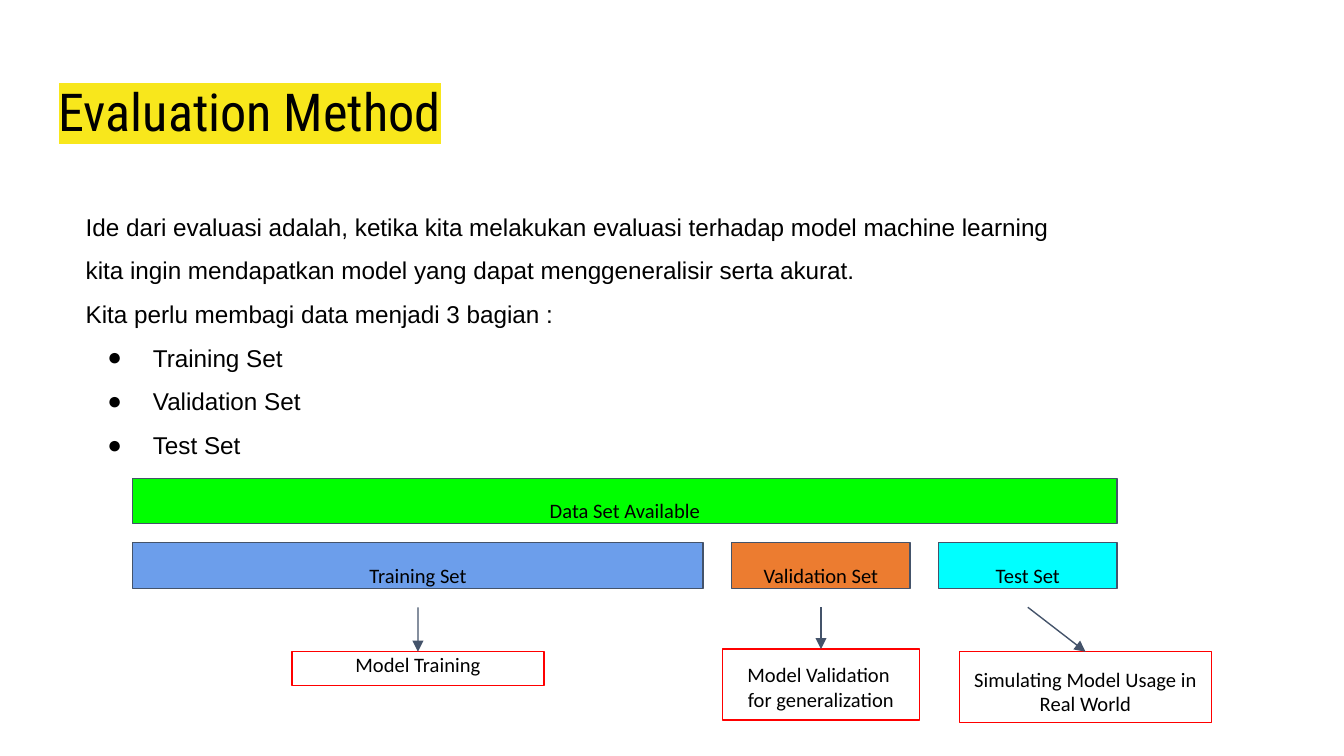
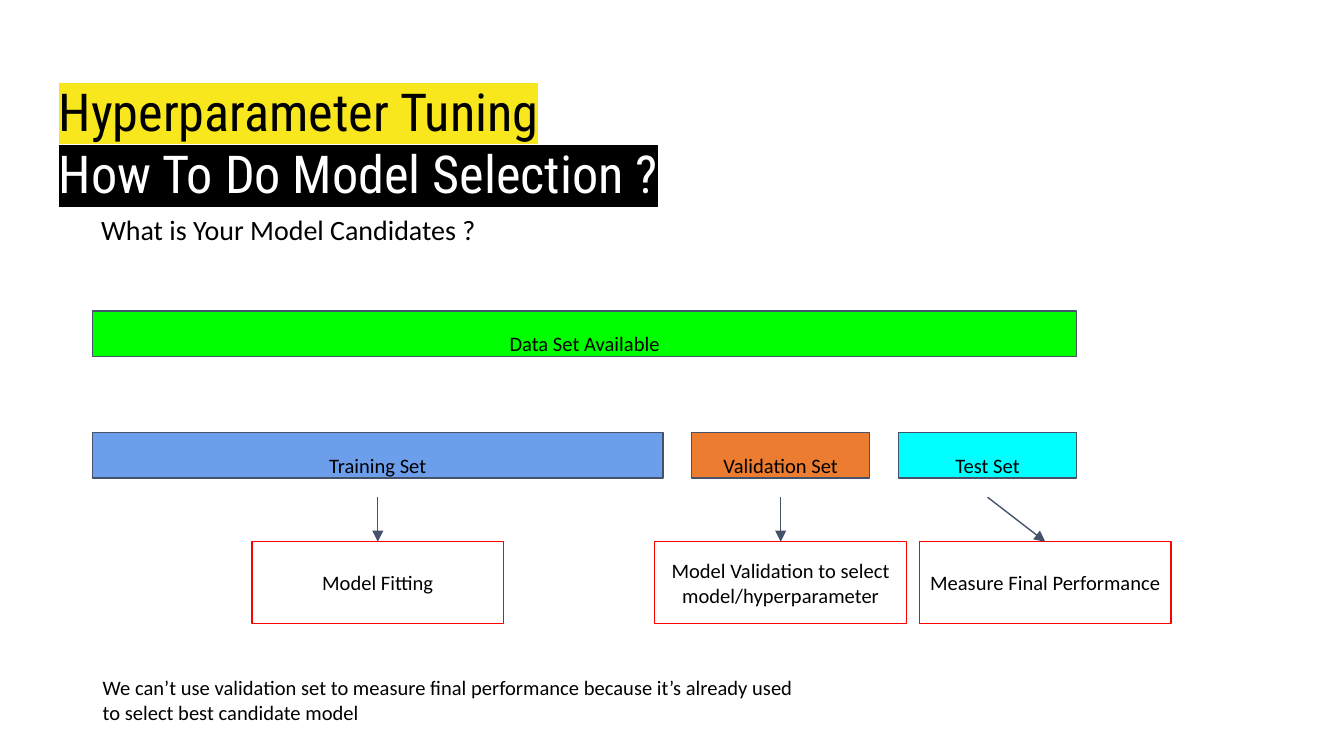
from dataclasses import dataclass

from lxml.etree import SubElement
from pptx import Presentation
from pptx.dml.color import RGBColor
from pptx.enum.shapes import MSO_CONNECTOR as Connector, MSO_SHAPE as Preset
from pptx.enum.text import MSO_ANCHOR as Anchor, MSO_AUTO_SIZE as AutoSize, PP_ALIGN as Align
from pptx.oxml.ns import qn
from pptx.shapes.autoshape import Shape
from pptx.slide import Slide
from pptx.text.text import TextFrame, _Paragraph as Paragraph
from pptx.util import Cm, Pt

COLORS = {
    "text": "000000", "reversed": "FFFFFF", "marker": "F8E71C", "edge": "44536A",
    "outcome": "FF0000", "available": "00FF00", "training": "6C9EEB",
    "validation": "EC7C30", "test": "00FFFF",
}
TITLE_FONT, BODY_FONT, DIAGRAM_FONT = "Roboto Condensed", "Arial", "Calibri"

# Measures of the data split, in centimetres
BAR_HEIGHT, BAR_GAP, BAR_INSET = 0.86, 0.54, 0.38
ARROW_GAP = 0.36


@dataclass(frozen=True)
class Subset:
    label: str
    color: str
    width: float
    outcome_shift: float = 0


@dataclass(frozen=True)
class Outcome:
    lines: tuple[str, ...]
    top: float
    width: float
    height: float
    inset: float = 0
    anchor: Anchor = Anchor.TOP


@dataclass(frozen=True)
class TitleLine:
    text: str
    color: str
    highlight: str


SUBSETS = (
    Subset("Training Set", "training", 10.78),
    Subset("Validation Set", "validation", 3.37),
    Subset("Test Set", "test", 3.37, outcome_shift=1.09),
)
TOTAL_WIDTH = sum(s.width for s in SUBSETS) + BAR_GAP * (len(SUBSETS) - 1)


def rgb(color: str) -> RGBColor:
    return RGBColor.from_string(COLORS[color])


# Text
def write(paragraph: Paragraph, text: str, font: str, size: float,
          color: str = "text", highlight: str | None = None) -> None:
    """Add runs to a paragraph; a newline becomes a line break."""
    for index, part in enumerate(text.split("\n")):
        if index:
            paragraph.add_line_break()
        run = paragraph.add_run()
        run.text = part
        run.font.size = Pt(size)
        run.font.color.rgb = rgb(color)
        run.font.name = font
        if highlight:
            properties = run._r.get_or_add_rPr()
            mark = SubElement(properties, qn("a:highlight"))
            SubElement(mark, qn("a:srgbClr"), val=COLORS[highlight])
            properties.find(qn("a:solidFill")).addnext(mark)


def next_paragraph(frame: TextFrame, index: int) -> Paragraph:
    return frame.add_paragraph() if index else frame.paragraphs[0]


def set_frame(frame: TextFrame, inset: float, top: float, anchor: Anchor = Anchor.TOP) -> None:
    frame.word_wrap = True
    frame.auto_size = AutoSize.NONE
    frame.vertical_anchor = anchor
    frame.margin_left = frame.margin_right = frame.margin_bottom = Cm(inset)
    frame.margin_top = Cm(top)


def place(shape: Shape, left: float, top: float, width: float, height: float) -> None:
    shape.left, shape.top = Cm(left), Cm(top)
    shape.width, shape.height = Cm(width), Cm(height)


def set_title(slide: Slide, lines: tuple[TitleLine, ...], height: float) -> None:
    title = slide.shapes.title
    place(title, 0.86, 1.24, 23.67, height)
    set_frame(title.text_frame, 0.25, 0.25)
    for index, line in enumerate(lines):
        paragraph = next_paragraph(title.text_frame, index)
        paragraph.alignment = Align.LEFT
        write(paragraph, line.text, TITLE_FONT, 28, line.color, line.highlight)


def set_body(slide: Slide, intro: tuple[str, ...], bullets: tuple[str, ...]) -> None:
    body = slide.placeholders[1]
    place(body, 1.37, 3.48, 18.8, 5.23)
    set_frame(body.text_frame, 0.25, 0.25)
    for index, text in enumerate(intro + bullets):
        paragraph = next_paragraph(body.text_frame, index)
        properties = paragraph._p.get_or_add_pPr()
        if index < len(intro):
            properties.set("marL", "0")
            properties.set("indent", "0")
            SubElement(properties, qn("a:buNone"))
        else:
            properties.set("marL", str(Cm(1.27)))
            properties.set("indent", str(Cm(-0.86)))
            bullet_color = SubElement(properties, qn("a:buClr"))
            SubElement(bullet_color, qn("a:srgbClr"), val=COLORS["text"])
            SubElement(properties, qn("a:buFont"), typeface=BODY_FONT)
            SubElement(properties, qn("a:buChar"), char="●")
        paragraph.line_spacing = 1.5
        paragraph.space_before = Pt(0)
        write(paragraph, text, BODY_FONT, 13)


def add_remark(slide: Slide, text: str, left: float, top: float,
               width: float, height: float, size: float) -> None:
    remark = slide.shapes.add_textbox(Cm(left), Cm(top), Cm(width), Cm(height))
    set_frame(remark.text_frame, 0.03, 0.03)
    write(remark.text_frame.paragraphs[0], text, DIAGRAM_FONT, size)


# Data split diagram
def add_box(slide: Slide, lines: tuple[str, ...], left: float, top: float,
            width: float, height: float, inset: float, edge: str,
            fill: str | None = None, anchor: Anchor = Anchor.TOP) -> Shape:
    box = slide.shapes.add_shape(Preset.RECTANGLE, Cm(left), Cm(top), Cm(width), Cm(height))
    box.shadow.inherit = False
    if fill:
        box.fill.solid()
        box.fill.fore_color.rgb = rgb(fill)
    else:
        box.fill.background()
    box.line.color.rgb = rgb(edge)
    box.line.width = Pt(0.75)
    set_frame(box.text_frame, 0, inset, anchor)
    for index, line in enumerate(lines):
        paragraph = next_paragraph(box.text_frame, index)
        paragraph.alignment = Align.CENTER
        write(paragraph, line, DIAGRAM_FONT, 11)
    return box


def add_bar(slide: Slide, label: str, left: float, top: float, width: float, fill: str) -> None:
    add_box(slide, (label,), left, top, width, BAR_HEIGHT, BAR_INSET, "edge", fill)


def add_arrow(slide: Slide, x: float, y: float, target: Shape) -> None:
    arrow = slide.shapes.add_connector(Connector.STRAIGHT, Cm(x), Cm(y), Cm(x), Cm(y))
    arrow.end_connect(target, 0)
    arrow.line.color.rgb = rgb("edge")
    arrow.line.width = Pt(0.75)
    SubElement(arrow.line._get_or_add_ln(), qn("a:tailEnd"), type="triangle")
    SubElement(arrow._element.spPr, qn("a:effectLst"))


def add_split(slide: Slide, left: float, available_top: float, subsets_top: float,
              outcomes: tuple[Outcome, ...]) -> None:
    """Draw the whole data set, its subsets, and what each one is used for."""
    add_bar(slide, "Data Set Available", left, available_top, TOTAL_WIDTH, "available")
    for subset, outcome in zip(SUBSETS, outcomes):
        add_bar(slide, subset.label, left, subsets_top, subset.width, subset.color)
        center = left + subset.width / 2
        outcome_left = center + subset.outcome_shift - outcome.width / 2
        target = add_box(slide, outcome.lines, outcome_left, outcome.top, outcome.width,
                         outcome.height, outcome.inset, "outcome", anchor=outcome.anchor)
        add_arrow(slide, center, subsets_top + BAR_HEIGHT + ARROW_GAP, target)
        left += subset.width + BAR_GAP


# Slides
def build_evaluation(prs: Presentation) -> None:
    slide = prs.slides.add_slide(prs.slide_layouts[1])
    set_title(slide, (TitleLine("Evaluation Method", "text", "marker"),), 3.38)
    set_body(
        slide,
        ("Ide dari evaluasi adalah, ketika kita melakukan evaluasi terhadap model machine "
         "learning kita ingin mendapatkan model yang dapat menggeneralisir serta akurat.",
         "Kita perlu membagi data menjadi 3 bagian :"),
        tuple(subset.label for subset in SUBSETS),
    )
    add_split(slide, 2.51, 9.04, 10.26, (
        Outcome(("Model Training",), 12.32, 4.76, 0.64),
        Outcome(("Model Validation \nfor generalization",), 12.27, 3.73, 1.34, 0.25),
        Outcome(("Simulating Model Usage in Real World",), 12.32, 4.76, 1.34, 0.28),
    ))


def build_tuning(prs: Presentation) -> None:
    slide = prs.slides.add_slide(prs.slide_layouts[5])
    set_title(slide, (
        TitleLine("Hyperparameter Tuning", "text", "marker"),
        TitleLine("How To Do Model Selection ?", "reversed", "text"),
    ), 2.13)
    add_remark(slide, "What is Your Model Candidates ?", 1.88, 3.99, 7.39, 0.66, 15)
    uses = (
        ("Model Fitting",),
        ("Model Validation to select", "model/hyperparameter"),
        ("Measure Final Performance",),
    )
    add_split(slide, 1.75, 5.88, 8.18, tuple(
        Outcome(lines, 10.24, 4.76, 1.55, anchor=Anchor.MIDDLE) for lines in uses
    ))
    add_remark(slide, "We can’t use validation set to measure final performance because "
               "it’s already used to select best candidate model", 1.91, 12.73, 13.31, 0.97, 11)


def main() -> None:
    prs = Presentation()
    prs.slide_width, prs.slide_height = Cm(25.4), Cm(14.29)
    build_evaluation(prs)
    build_tuning(prs)
    prs.save("out.pptx")


if __name__ == "__main__":
    main()
